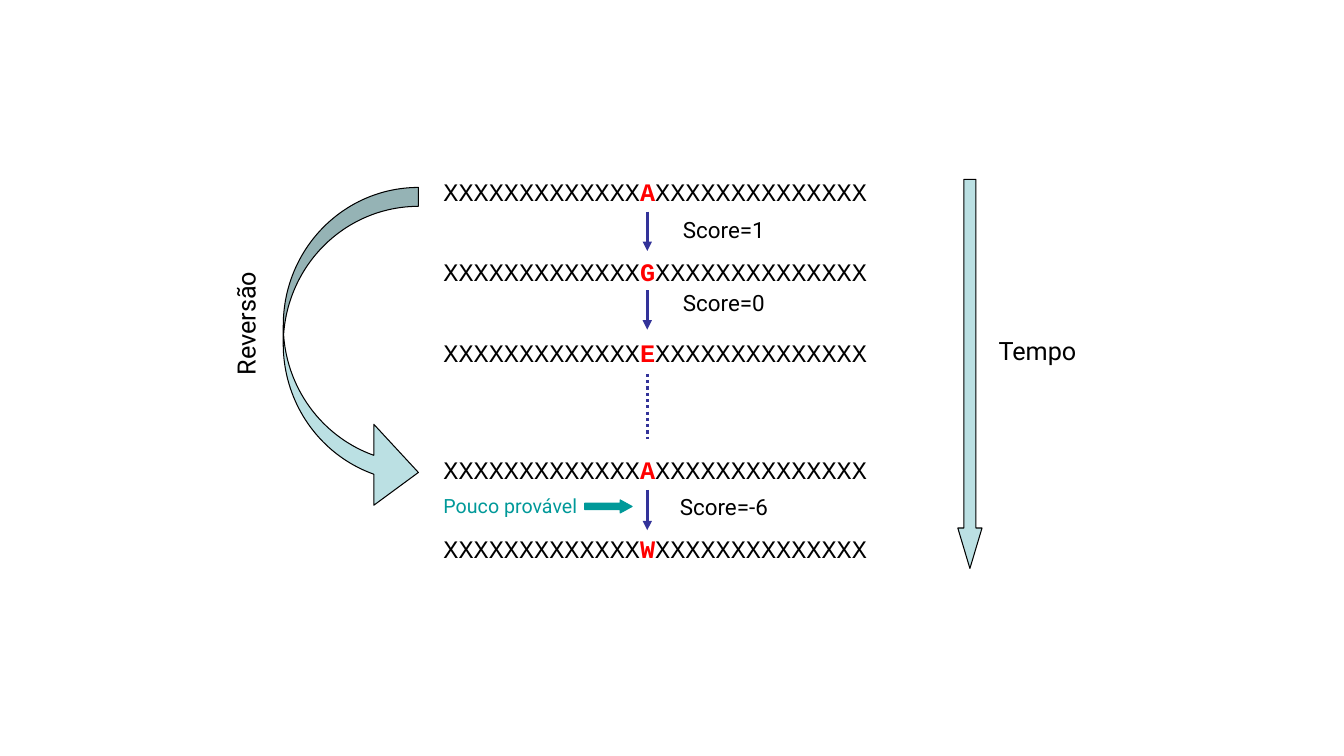
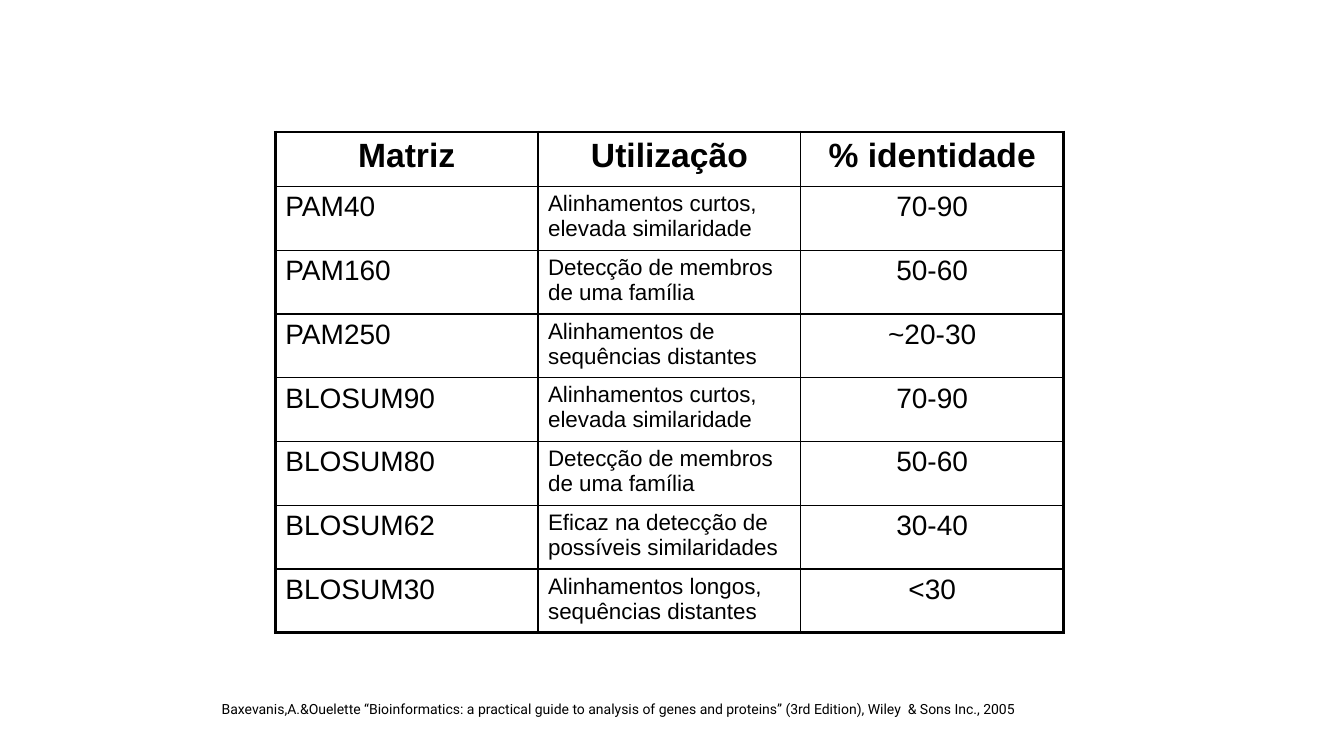
import dataclasses
import typing

import pptx
import pptx.dml.color
import pptx.enum.dml
import pptx.enum.shapes
import pptx.enum.text
import pptx.oxml.ns
import pptx.oxml.xmlchemy
import pptx.util

PX = 9144  # 100 px to the inch

BLACK = "000000"
RED = "FF0000"
NAVY = "333399"
TEAL = "009999"
PALE = "BBE0E3"

SANS = "Roboto"
MONO = "Courier New"
GRID = "Arial"

LEFT = pptx.enum.text.PP_ALIGN.LEFT
MID = pptx.enum.text.PP_ALIGN.CENTER
SHAPE = pptx.enum.shapes.MSO_SHAPE
AXIS = 642  # x of the mutated residue


class Run(typing.NamedTuple):
    text: str
    color: str = BLACK
    bold: bool = False


@dataclasses.dataclass(frozen=True)
class Box:
    x: int
    y: int
    w: int
    h: int

    def emu(self) -> list[int]:
        return [px(n) for n in (self.x, self.y, self.w, self.h)]


@dataclasses.dataclass(frozen=True)
class Label:
    text: str
    box: Box
    size: int
    align: typing.Any = MID
    color: str = BLACK
    turn: int = 0


@dataclasses.dataclass(frozen=True)
class Arrow:
    kind: typing.Any
    box: Box
    adjust: tuple[float, ...]
    fill: str = PALE
    line: str = BLACK


@dataclasses.dataclass(frozen=True)
class Step:
    top: int
    end: int
    dotted: bool = False


@dataclasses.dataclass(frozen=True)
class Style:
    size: int
    align: typing.Any
    bold: bool = False


RESIDUES = (("A", 170), ("G", 249), ("E", 330), ("A", 446), ("W", 524))

STEPS = (
    Step(210, 249),
    Step(288, 327),
    Step(371, 436, dotted=True),
    Step(486, 526),
)

SCORES = (("1", 210), ("0", 282), ("-6", 484))

LABELS = (
    Label("Tempo", Box(974, 328, 110, 40), 18),
    Label("Reversão", Box(166, 301, 155, 40), 18, turn=270),
    Label("Pouco provável", Box(430, 485, 160, 34), 14, LEFT, TEAL),
    *(Label(f"Score={n}", Box(651, y, 134, 37), 16) for n, y in SCORES),
)

ARROWS = (
    Arrow(SHAPE.DOWN_ARROW, Box(950, 178, 24, 386), (0.5, 1.67)),
    Arrow(SHAPE.CURVED_RIGHT_ARROW, Box(281, 186, 134, 323),
          (0.14, 0.6, 0.33)),
    Arrow(SHAPE.RIGHT_ARROW, Box(580, 496, 47, 13), (0.5, 0.91), TEAL, TEAL),
)

SHORT = "Alinhamentos curtos, elevada similaridade"
FAMILY = "Detecção de membros de uma família"

ROWS = (
    ("Matriz", "Utilização", "% identidade"),
    ("PAM40", SHORT, "70-90"),
    ("PAM160", FAMILY, "50-60"),
    ("PAM250", "Alinhamentos de sequências distantes", "~20-30"),
    ("BLOSUM90", SHORT, "70-90"),
    ("BLOSUM80", FAMILY, "50-60"),
    ("BLOSUM62", "Eficaz na detecção de possíveis similaridades", "30-40"),
    ("BLOSUM30", "Alinhamentos longos, sequências distantes", "<30"),
)
HEAD = Style(24, MID, bold=True)
BODY = (Style(20, LEFT), Style(16, LEFT), Style(20, MID))

SOURCE = (
    "Baxevanis,A.&Ouelette “Bioinformatics: a practical guide to analysis "
    "of genes and proteins” (3rd Edition), Wiley  & Sons Inc., 2005"
)


def px(count: int) -> int:
    return pptx.util.Emu(count * PX)


def rgb(color: str) -> pptx.dml.color.RGBColor:
    return pptx.dml.color.RGBColor.from_string(color)


def write(frame, runs: typing.Iterable[Run], *, size: int,
          font: str = SANS, align=LEFT) -> None:
    para = frame.paragraphs[0]
    para.alignment = align
    for part in runs:
        run = para.add_run()
        run.text = part.text
        run.font.name = font
        run.font.size = pptx.util.Pt(size)
        run.font.bold = part.bold
        run.font.color.rgb = rgb(part.color)


def note(slide, box: Box, runs: typing.Iterable[Run], *, turn: int = 0,
         **style) -> None:
    """Add a wrapped text box."""
    shape = slide.shapes.add_textbox(*box.emu())
    shape.rotation = turn
    shape.text_frame.word_wrap = True
    write(shape.text_frame, runs, **style)


def draw(slide, arrow: Arrow) -> None:
    shape = slide.shapes.add_shape(arrow.kind, *arrow.box.emu())
    shape.shadow.inherit = False
    for i, value in enumerate(arrow.adjust):
        shape.adjustments[i] = value
    shape.fill.solid()
    shape.fill.fore_color.rgb = rgb(arrow.fill)
    shape.line.color.rgb = rgb(arrow.line)
    shape.line.width = pptx.util.Pt(0.75)


def link(slide, step: Step) -> None:
    """Join two sequences along the residue axis."""
    line = slide.shapes.add_connector(
        pptx.enum.shapes.MSO_CONNECTOR.STRAIGHT,
        px(AXIS), px(step.top), px(AXIS), px(step.end))
    line.line.color.rgb = rgb(NAVY)
    line.line.width = pptx.util.Pt(2.25)
    if step.dotted:
        line.line.dash_style = pptx.enum.dml.MSO_LINE.ROUND_DOT
    else:
        tail = add(line.line._get_or_add_ln(), "a:tailEnd")
        tail.set("type", "triangle")
    add(line._element.spPr, "a:effectLst")


def add(parent, tag: str):
    """Append an empty XML child."""
    child = pptx.oxml.xmlchemy.OxmlElement(tag)
    parent.append(child)
    return child


def edge(cell, side: str, width: float) -> None:
    """Rule one side (L, R, T or B) of a cell."""
    line = add(cell._tc.get_or_add_tcPr(), f"a:ln{side}")
    line.set("w", str(pptx.util.Pt(width)))
    add(add(line, "a:solidFill"), "a:srgbClr").set("val", BLACK)


def flow(slide) -> None:
    """Draw the chain of mutations."""
    for letter, y in RESIDUES:
        runs = (Run("X" * 13), Run(letter, RED, True), Run("X" * 14))
        note(slide, Box(430, y, 442, 40), runs, size=18, font=MONO)
    for step in STEPS:
        link(slide, step)
    for arrow in ARROWS:
        draw(slide, arrow)
    for item in LABELS:
        note(slide, item.box, [Run(item.text, item.color)],
             size=item.size, align=item.align, turn=item.turn)


def grid(slide) -> None:
    """Draw the table of matrices."""
    box, top = Box(273, 131, 782, 497), 54
    rows, cols = len(ROWS), len(BODY)
    table = slide.shapes.add_table(rows, cols, *box.emu()).table
    table.first_row = table.horz_banding = False
    for col in table.columns:
        col.width = px(box.w) // cols
    for r, texts in enumerate(ROWS):
        table.rows[r].height = px(box.h - top) // (rows - 1) if r else px(top)
        for c, text in enumerate(texts):
            cell = table.cell(r, c)
            style = BODY[c] if r else HEAD
            write(cell.text_frame, [Run(text, bold=style.bold)],
                  size=style.size, font=GRID, align=style.align)
            outer = {"L": c == 0, "R": c == cols - 1,
                     "T": r == 0, "B": r == rows - 1}
            for side, thick in outer.items():
                edge(cell, side, 2.25 if thick else 1)
            cell.fill.background()


def main() -> None:
    deck = pptx.Presentation()
    deck.slide_width, deck.slide_height = px(1333), px(750)
    blank = deck.slide_layouts[6]
    flow(deck.slides.add_slide(blank))
    last = deck.slides.add_slide(blank)
    grid(last)
    note(last, Box(210, 690, 898, 27), [Run(SOURCE)], size=10)
    deck.save("out.pptx")


if __name__ == "__main__":
    main()
